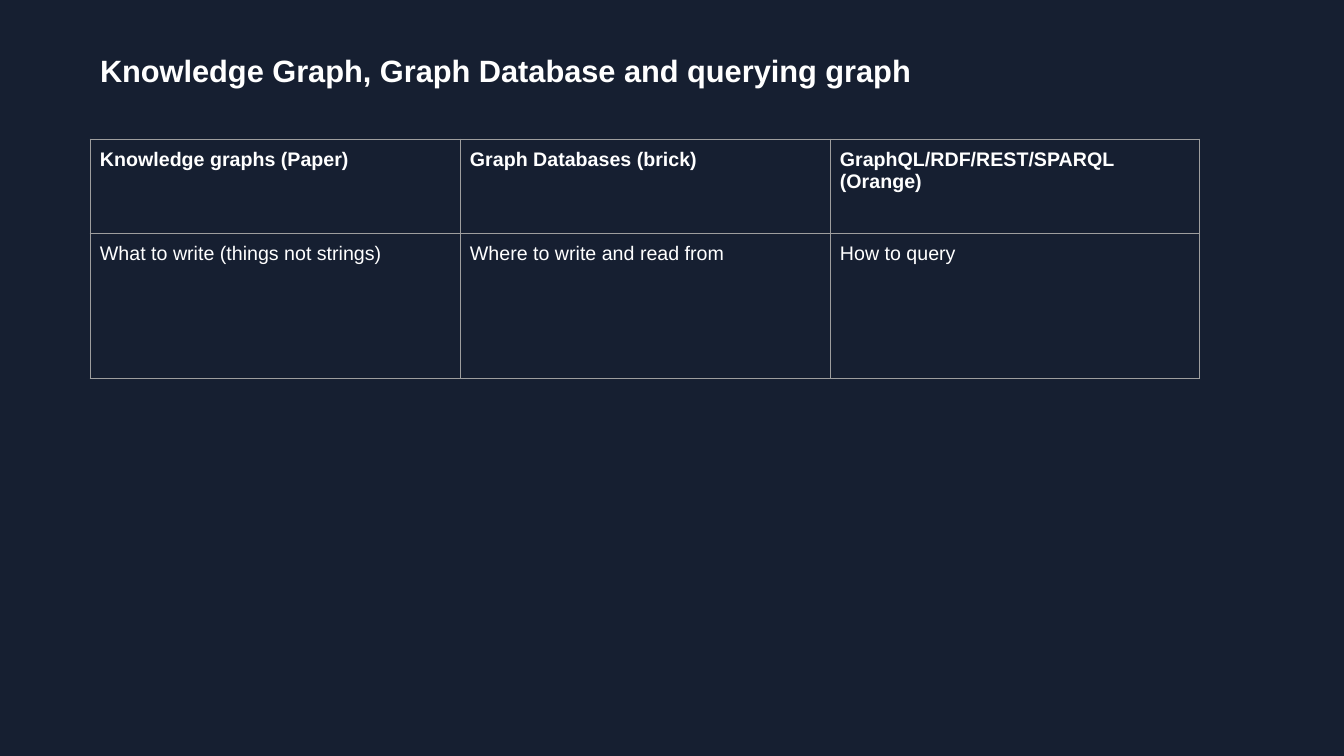
from lxml import etree
from pptx import Presentation
from pptx import util as u
from pptx.dml.color import RGBColor
from pptx.enum import text
from pptx.oxml.ns import qn

EMU_PER_PX = 914400 / 100.8
COLORS = {"background": "161F31", "text": "FFFFFF", "border": "9E9E9E"}


def px(length):
    return u.Emu(round(length * EMU_PER_PX))


class SlideBuilder:
    font_name = "Arial"
    inset = px(10)

    def __init__(self, presentation):
        self.slide = presentation.slides.add_slide(presentation.slide_layouts[6])
        fill = self.slide.background.fill
        fill.solid()
        fill.fore_color.rgb = RGBColor.from_string(COLORS["background"])

    def add_words(self, paragraph, words, size, bold):
        run = paragraph.add_run()
        run.text = words
        run.font.name = self.font_name
        run.font.size = u.Pt(size)
        run.font.bold = bold
        run.font.color.rgb = RGBColor.from_string(COLORS["text"])

    def set_insets(self, holder):
        holder.margin_left = holder.margin_right = self.inset
        holder.margin_top = holder.margin_bottom = self.inset
        holder.vertical_anchor = text.MSO_ANCHOR.TOP

    def title(self, words, left, top, width, height):
        shape = self.slide.shapes.add_textbox(*map(px, (left, top, width, height)))
        frame = shape.text_frame
        frame.word_wrap = True
        self.set_insets(frame)
        paragraph = frame.paragraphs[0]
        paragraph.line_spacing = 1.1
        self.add_words(paragraph, words, size=22, bold=True)

    def border(self, cell):
        properties = cell._tc.get_or_add_tcPr()
        for side in ("a:lnL", "a:lnR", "a:lnT", "a:lnB"):
            line = etree.SubElement(properties, qn(side), w=str(u.Pt(0.75)))
            fill = etree.SubElement(line, qn("a:solidFill"))
            etree.SubElement(fill, qn("a:srgbClr"), val=COLORS["border"])

    def table(self, rows, left, top, column_width, row_heights):
        """Draw a bordered, unfilled table whose first row is bold."""
        columns = len(rows[0])
        frame = self.slide.shapes.add_table(
            len(rows), columns, px(left), px(top),
            px(column_width * columns), px(sum(row_heights)))
        table = frame.table
        table.first_row = table.horz_banding = False
        for column in table.columns:
            column.width = px(column_width)
        for row_index, (labels, height) in enumerate(zip(rows, row_heights)):
            table.rows[row_index].height = px(height)
            for column_index, label in enumerate(labels):
                cell = table.cell(row_index, column_index)
                self.set_insets(cell)
                self.border(cell)
                cell.fill.background()
                self.add_words(cell.text_frame.paragraphs[0], label,
                               size=14, bold=row_index == 0)


def main():
    presentation = Presentation()
    presentation.slide_width = px(1344)
    presentation.slide_height = px(756)
    builder = SlideBuilder(presentation)
    builder.table(
        [["Knowledge graphs (Paper)", "Graph Databases (brick)",
          "GraphQL/RDF/REST/SPARQL (Orange)"],
         ["What to write (things not strings)", "Where to write and read from",
          "How to query"]],
        left=90, top=139, column_width=370, row_heights=[94, 145])
    builder.title("Knowledge Graph, Graph Database and querying graph",
                  left=90, top=38, width=890, height=80)
    presentation.save("out.pptx")


if __name__ == "__main__":
    main()
